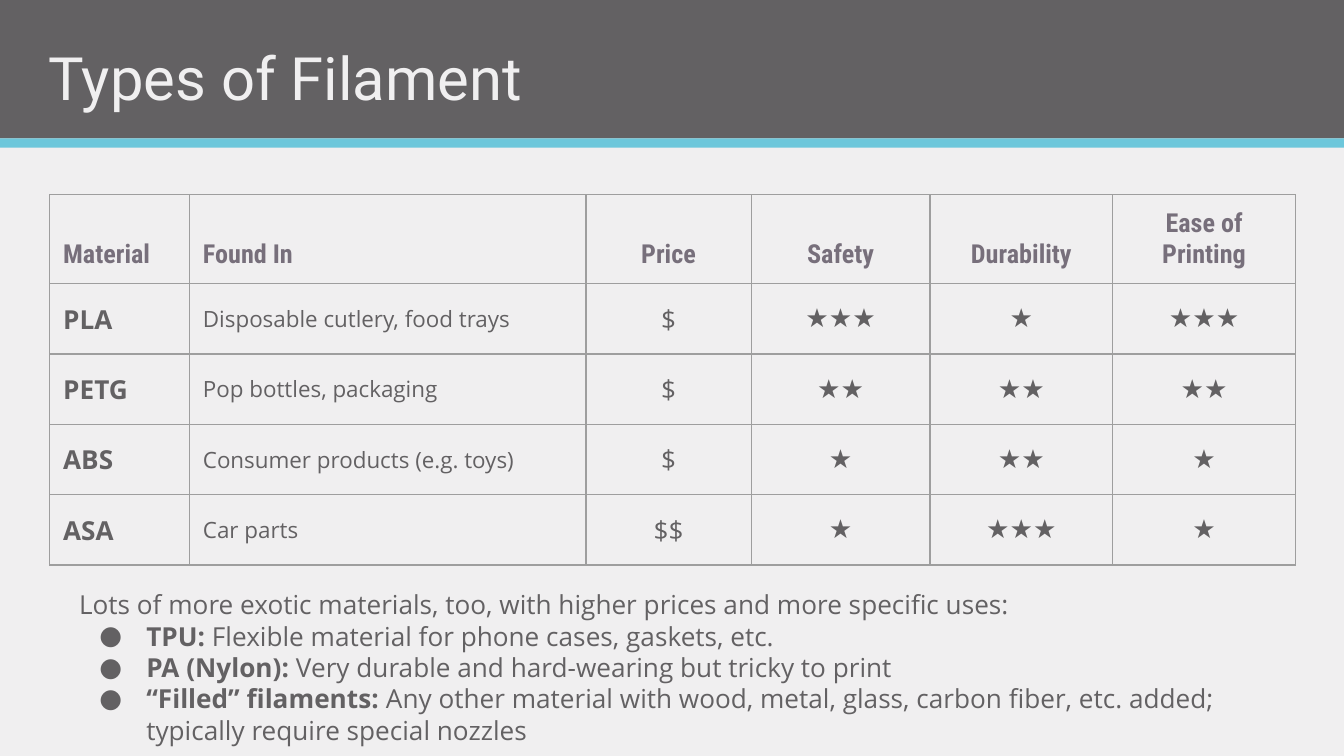
from lxml.etree import SubElement
from pptx import Presentation
from pptx.dml.color import RGBColor
from pptx.enum.shapes import MSO_SHAPE
from pptx.enum.text import MSO_ANCHOR, MSO_AUTO_SIZE, PP_ALIGN
from pptx.oxml.ns import qn
from pptx.util import Inches, Pt

GRAY, BLUE, PALE = "636163", "6DC7DB", "F0EFF0"
MAUVE, RULE = "776F7B", "9E9E9E"
HEADING, BODY, CONDENSED = "Roboto", "Open Sans", "Roboto Condensed"
MARGIN = Inches(0.1)

COLUMNS = [1.04, 2.95, 1.23, 1.33, 1.36, 1.36]
HEADERS = ["Material", "Found In", "Price", "Safety", "Durability", "Ease of Printing"]
FILAMENTS = [
    ("PLA", "Disposable cutlery, food trays", "$", 3, 1, 3),
    ("PETG", "Pop bottles, packaging", "$", 2, 2, 2),
    ("ABS", "Consumer products (e.g. toys)", "$", 1, 2, 1),
    ("ASA", "Car parts", "$$", 1, 3, 1),
]
INTRO = "Lots of more exotic materials, too, with higher prices and more specific uses:"
EXOTICS = [
    ("TPU:", " Flexible material for phone cases, gaskets, etc."),
    ("PA (Nylon):", " Very durable and hard-wearing but tricky to print"),
    ("“Filled” filaments:", " Any other material with wood, metal, glass, carbon fiber, etc. added; "
     "typically require special nozzles"),
]


def rgb(value):
    return RGBColor.from_string(value)


def add_text(p, text, size=14, font=BODY, color=GRAY, bold=False, align=PP_ALIGN.LEFT):
    p.alignment = align
    r = p.add_run()
    r.text = text
    r.font.size = Pt(size)
    r.font.name = font
    r.font.bold = bold
    r.font.color.rgb = rgb(color)


def set_margins(tf):
    tf.margin_left = tf.margin_right = tf.margin_top = tf.margin_bottom = MARGIN
    tf.word_wrap = True


def add_band(s, x, y, w, h, color):
    sp = s.shapes.add_shape(MSO_SHAPE.RECTANGLE, Inches(x), Inches(y), Inches(w), Inches(h))
    sp.shadow.inherit = False
    sp.fill.solid()
    sp.fill.fore_color.rgb = rgb(color)
    sp.line.fill.background()


def add_header(s, x, y, w, h):
    stripe = 0.07
    add_band(s, x, y, w, h - stripe, GRAY)
    add_band(s, x, y + h - stripe, w, stripe, BLUE)
    title = s.shapes.title
    title.left, title.top = Inches(x + 0.26), Inches(y + 0.1)
    title.width, title.height = Inches(8.99), Inches(0.84)
    tf = title.text_frame
    set_margins(tf)
    tf.auto_size = MSO_AUTO_SIZE.NONE
    tf.vertical_anchor = MSO_ANCHOR.BOTTOM
    add_text(tf.paragraphs[0], "Types of Filament", size=32, font=HEADING, color=PALE)
    s.shapes._spTree.append(title._element)


def format_cell(cell, anchor):
    cell.margin_left = cell.margin_right = cell.margin_top = cell.margin_bottom = MARGIN
    cell.vertical_anchor = anchor
    tcPr = cell._tc.get_or_add_tcPr()
    for side in ("lnL", "lnR", "lnT", "lnB"):
        ln = SubElement(tcPr, qn(f"a:{side}"), w=str(Pt(0.75)))
        SubElement(SubElement(ln, qn("a:solidFill")), qn("a:srgbClr"), val=RULE)
    cell.fill.background()


def add_filament_table(s, x, y, w, h):
    count = len(FILAMENTS) + 1
    table = s.shapes.add_table(count, len(COLUMNS), Inches(x), Inches(y), Inches(w), Inches(h)).table
    table.first_row = table.horz_banding = False
    for column, width in zip(table.columns, COLUMNS):
        column.width = Inches(width)
    for row in table.rows:
        row.height = Inches(h / count)
    for i, values in enumerate([HEADERS] + FILAMENTS):
        for j, value in enumerate(values):
            cell = table.cell(i, j)
            format_cell(cell, MSO_ANCHOR.MIDDLE if i else MSO_ANCHOR.BOTTOM)
            if i == 0:
                style = dict(font=CONDENSED, color=MAUVE, bold=True)
            elif j < 3:
                style = dict(size=12 if j == 1 else 14, bold=j == 0)
            else:
                value = "★" * value
                style = dict(font=CONDENSED)
            align = PP_ALIGN.CENTER if j > 1 else PP_ALIGN.LEFT
            add_text(cell.text_frame.paragraphs[0], value, align=align, **style)


def add_bullet(p):
    pPr = p._p.get_or_add_pPr()
    pPr.set("marL", str(Inches(0.5)))
    pPr.set("indent", str(Inches(-0.35)))
    SubElement(SubElement(pPr, qn("a:buClr")), qn("a:srgbClr"), val=GRAY)
    SubElement(pPr, qn("a:buFont"), typeface=HEADING)
    SubElement(pPr, qn("a:buChar"), char="●")


def add_exotics(s, x, y, w, h):
    tf = s.shapes.add_textbox(Inches(x), Inches(y), Inches(w), Inches(h)).text_frame
    set_margins(tf)
    tf.auto_size = MSO_AUTO_SIZE.SHAPE_TO_FIT_TEXT
    add_text(tf.paragraphs[0], INTRO)
    for name, description in EXOTICS:
        p = tf.add_paragraph()
        add_bullet(p)
        add_text(p, name, bold=True)
        add_text(p, description)


def main():
    prs = Presentation()
    prs.slide_width = Inches(10)
    prs.slide_height = prs.slide_width * 9 // 16
    s = prs.slides.add_slide(prs.slide_layouts[5])
    s.background.fill.solid()
    s.background.fill.fore_color.rgb = rgb(PALE)
    add_header(s, 0, 0, 10, 1.1)
    add_filament_table(s, 0.37, 1.45, 9.26, 2.62)
    add_exotics(s, 0.49, 4.28, 8.89, 1.38)
    prs.save("out.pptx")


if __name__ == "__main__":
    main()
